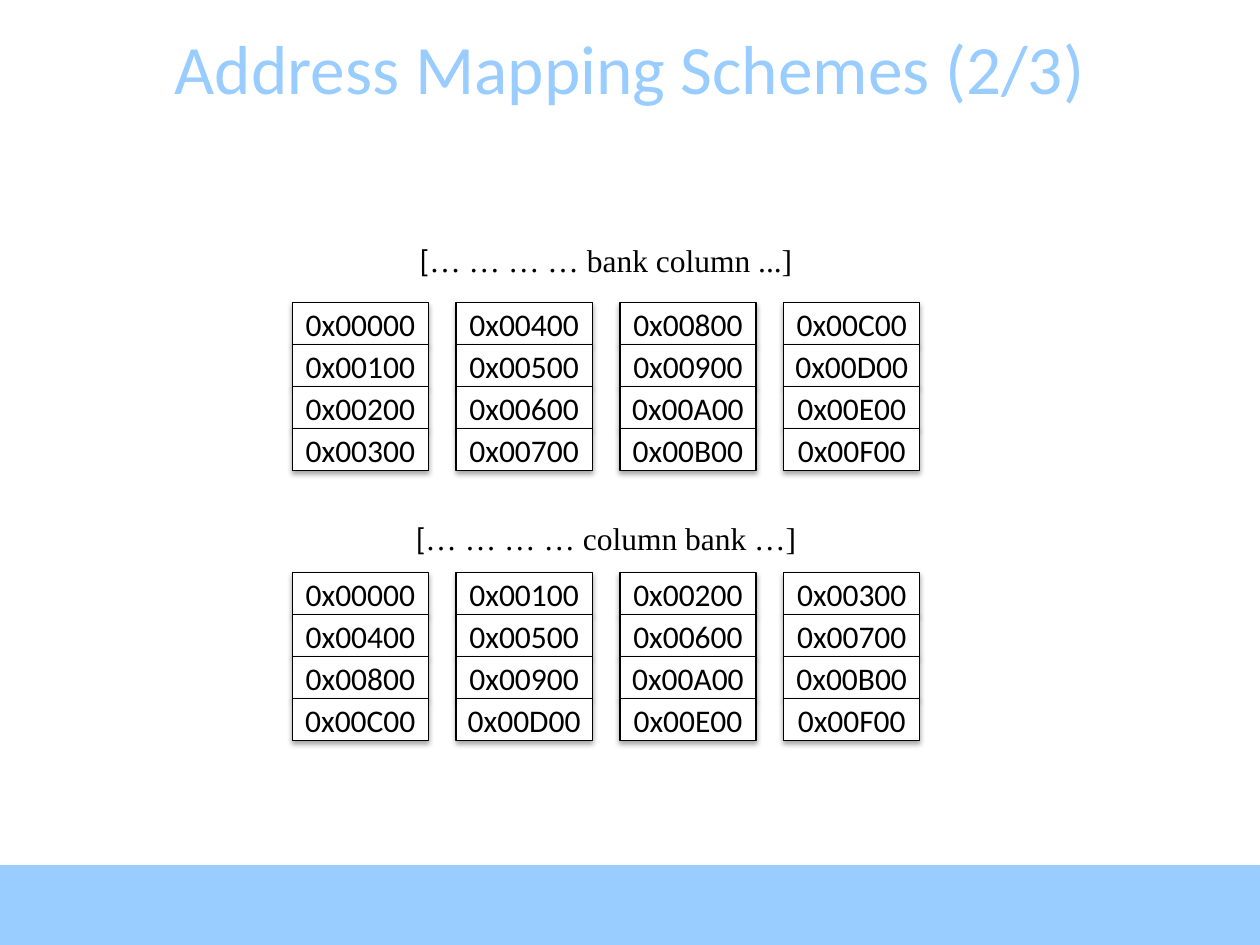
from dataclasses import dataclass

from lxml.etree import SubElement
from pptx import Presentation
from pptx.dml.color import RGBColor as Rgb
from pptx.enum.shapes import MSO_SHAPE as Shape
from pptx.enum.text import MSO_ANCHOR as Anchor, PP_ALIGN as Align
from pptx.oxml.ns import qn
from pptx.util import Inches, Pt


@dataclass(frozen=True)
class Theme:
    accent: str = "99CCFF"
    paper: str = "FFFFFF"
    ink: str = "000000"
    sans: str = "Calibri"
    serif: str = "Times New Roman"
    title_size: float = 39.6
    body_size: float = 18
    border: float = 0.75


class Deck:
    """Places elements on a grid of 100 columns and 22.5 rows."""

    def __init__(self, theme):
        self.theme = theme
        self.file = Presentation()
        self.file.slide_width, self.file.slide_height = Inches(10), Inches(7.5)
        self.column = self.file.slide_width / 100
        self.row = self.file.slide_height / 22.5
        self.slide = self.file.slides.add_slide(self.file.slide_layouts[6])

    def area(self, left, top, width, height):
        return (round(left * self.column), round(top * self.row),
                round(width * self.column), round(height * self.row))

    def style(self, paragraph, size, color):
        paragraph.alignment = Align.CENTER
        paragraph.font.name = self.theme.sans
        paragraph.font.size = Pt(size)
        paragraph.font.color.rgb = Rgb.from_string(color)

    def box(self, area, fill, border=None):
        box = self.slide.shapes.add_shape(Shape.RECTANGLE, *self.area(*area))
        box.fill.solid()
        box.fill.fore_color.rgb = Rgb.from_string(fill)
        if border:
            box.line.color.rgb = Rgb.from_string(border)
            box.line.width = Pt(self.theme.border)
        else:
            box.line.fill.background()
        self.shade(box)
        return box

    def shade(self, box):
        box.shadow.inherit = False
        effects = box._element.spPr.find(qn("a:effectLst"))
        shadow = SubElement(effects, qn("a:outerShdw"), blurRad=str(Pt(3.1)),
                            dist=str(Pt(1.8)), dir="5400000", rotWithShape="0")
        color = SubElement(shadow, qn("a:srgbClr"), val=self.theme.ink)
        SubElement(color, qn("a:alpha"), val="35000")

    def cell(self, area, address):
        box = self.box(area, self.theme.paper, self.theme.ink)
        frame = box.text_frame
        frame.margin_left = frame.margin_right = 0
        frame.vertical_anchor = Anchor.MIDDLE
        frame.text = address
        self.style(frame.paragraphs[0], self.theme.body_size, self.theme.ink)

    def text_frame(self, area):
        frame = self.slide.shapes.add_textbox(*self.area(*area)).text_frame
        frame.word_wrap = True
        return frame

    def title(self, area, words):
        frame = self.text_frame(area)
        frame.vertical_anchor = Anchor.MIDDLE
        frame.text = words
        self.style(frame.paragraphs[0], self.theme.title_size, self.theme.accent)

    def caption(self, area, bits):
        paragraph = self.text_frame(area).paragraphs[0]
        paragraph.alignment = Align.CENTER
        for words, font in (("[", self.theme.sans), (bits, self.theme.serif)):
            run = paragraph.add_run()
            run.text = words
            run.font.name = font
            run.font.size = Pt(self.theme.body_size)
            run.font.color.rgb = Rgb.from_string(self.theme.ink)

    def banks(self, top, bank_step, row_step):
        """Four banks of four cells, each step counted in address blocks."""
        for bank in range(4):
            for row in range(4):
                block = bank * bank_step + row * row_step
                self.cell((BANKS_LEFT + bank * BANK_PITCH, top + row, BANK_WIDTH, 1),
                          f"0x{block * 0x100:05X}")


BANKS_LEFT, BANK_PITCH, BANK_WIDTH = 23.2, 13, 10.8
BANKS_SPAN = 3 * BANK_PITCH + BANK_WIDTH

# Caption top, caption text, cells top, step between banks, step between rows
SCHEMES = [
    (5.6, "… … … … bank column ...]", 7.2, 4, 1),
    (12.2, "… … … … column bank …]", 13.63, 1, 4),
]


def main():
    deck = Deck(Theme())

    # Footer band and title
    deck.box((0, 20.6, 100, 1.9), deck.theme.accent)
    deck.title((0, 0.63, 100, 1.9), "Address Mapping Schemes (2/3)")

    # Mapping schemes
    for caption_top, bits, cells_top, bank_step, row_step in SCHEMES:
        deck.caption((BANKS_LEFT, caption_top, BANKS_SPAN, 1.2), bits)
        deck.banks(cells_top, bank_step, row_step)

    deck.file.save("out.pptx")


if __name__ == "__main__":
    main()
